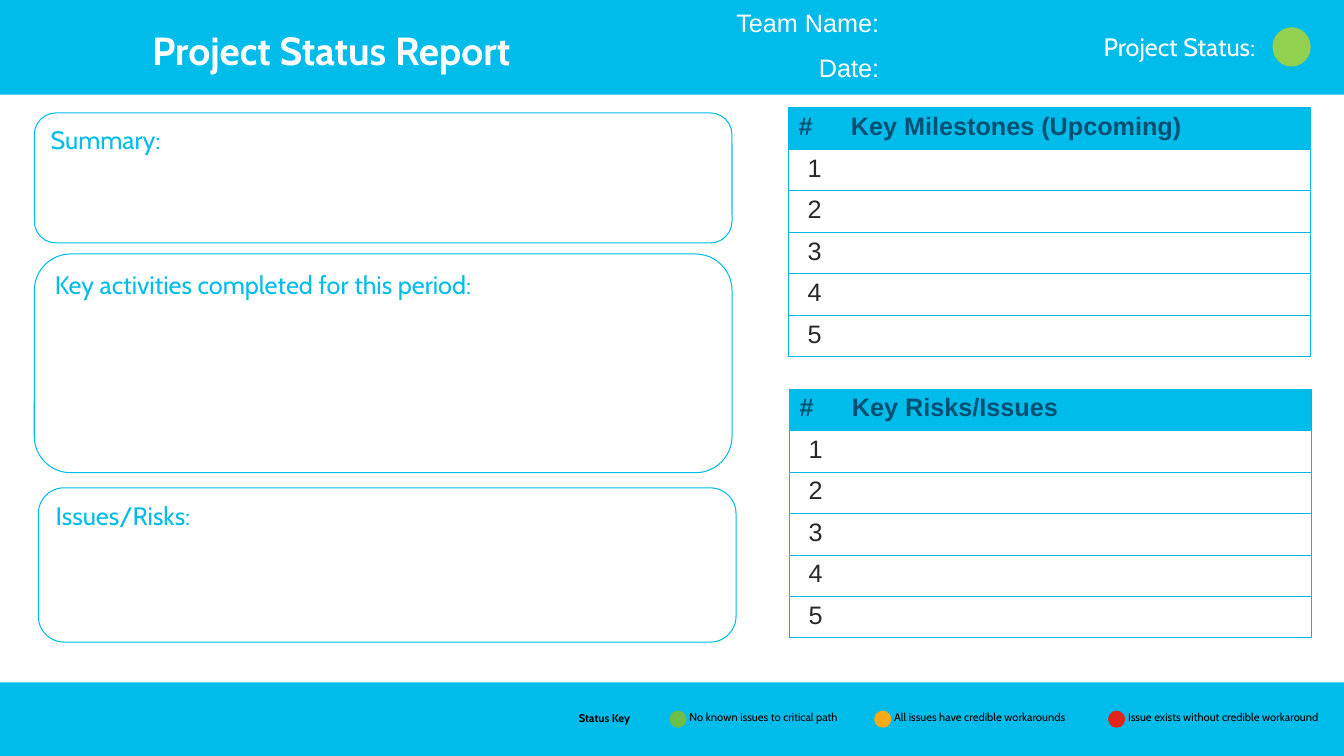
"""Build the project status report slide."""
from lxml import etree
from pptx import Presentation
from pptx.dml.color import RGBColor
from pptx.enum.shapes import MSO_SHAPE
from pptx.enum.text import MSO_ANCHOR, MSO_AUTO_SIZE, PP_ALIGN
from pptx.oxml.ns import qn
from pptx.util import Inches, Pt

RECTANGLE = MSO_SHAPE.RECTANGLE
ROUNDED = MSO_SHAPE.ROUNDED_RECTANGLE
OVAL = MSO_SHAPE.OVAL
LEFT, CENTER, RIGHT = PP_ALIGN.LEFT, PP_ALIGN.CENTER, PP_ALIGN.RIGHT
TOP = MSO_ANCHOR.TOP
NO_AUTOFIT = MSO_AUTO_SIZE.NONE

CYAN = RGBColor(0x00, 0xBC, 0xEB)
BORDER = RGBColor(0x00, 0xB8, 0xE6)
NAVY = RGBColor(0x00, 0x50, 0x73)
CHARCOAL = RGBColor(0x28, 0x28, 0x28)
WHITE = RGBColor(0xFF, 0xFF, 0xFF)
BLACK = RGBColor(0x00, 0x00, 0x00)
STATUS_GREEN = RGBColor(0x92, 0xD0, 0x50)
KEY_GREEN = RGBColor(0x6E, 0xBE, 0x4A)
KEY_AMBER = RGBColor(0xFB, 0xAB, 0x18)
KEY_RED = RGBColor(0xE3, 0x24, 0x1B)

BORDER_WIDTH = Pt(0.75)
ROW_HEIGHT = 2.47 / 6


def write_text(frame, text, font="Cabin", size=18, color=CYAN, bold=False,
               align=LEFT, spacing=None):
    """Write one formatted paragraph into a text frame."""
    paragraph = frame.paragraphs[0]
    paragraph.alignment = align
    paragraph.line_spacing = spacing
    run = paragraph.add_run()
    run.text = text
    run.font.name = font
    run.font.size = Pt(size)
    run.font.bold = bold
    run.font.color.rgb = color


def add_shape(slide, kind, left, top, width, height, fill=None, line=None):
    """Add a flat preset shape with an optional fill and outline."""
    shape = slide.shapes.add_shape(
        kind, Inches(left), Inches(top), Inches(width), Inches(height))
    shape.shadow.inherit = False
    if fill is None:
        shape.fill.background()
    else:
        shape.fill.solid()
        shape.fill.fore_color.rgb = fill
    if line is None:
        shape.line.fill.background()
    else:
        shape.line.color.rgb = line
        shape.line.width = BORDER_WIDTH
    return shape


def add_panel(slide, heading, left, top, height):
    """Add a rounded outline panel with its heading at the top."""
    panel = add_shape(slide, ROUNDED, left, top, 6.92, height, line=CYAN)
    panel.text_frame.vertical_anchor = TOP
    write_text(panel.text_frame, heading)


def add_label(slide, text, left, top, width, height, wrap=False, margin=None,
              **text_format):
    """Add a text box, optionally with equal margins on all sides."""
    box = slide.shapes.add_textbox(
        Inches(left), Inches(top), Inches(width), Inches(height))
    frame = box.text_frame
    frame.word_wrap = wrap
    if margin is not None:
        frame.margin_left = frame.margin_right = Inches(margin)
        frame.margin_top = frame.margin_bottom = Inches(margin)
    write_text(frame, text, **text_format)


def set_borders(cell, visible=""):
    """Draw the cell sides named by letters in visible and hide the rest."""
    properties = cell._tc.get_or_add_tcPr()
    for index, side in enumerate("LRTB"):
        line = etree.Element(qn("a:ln" + side), w=str(BORDER_WIDTH))
        if side in visible:
            fill = etree.SubElement(line, qn("a:solidFill"))
            etree.SubElement(fill, qn("a:srgbClr"), val=str(BORDER))
        else:
            etree.SubElement(line, qn("a:noFill"))
        properties.insert(index, line)


def add_plain_table(slide, left, top, columns, rows):
    """Add a table without banding or cell fills, and return it."""
    table = slide.shapes.add_table(
        len(rows), len(columns), Inches(left), Inches(top),
        Inches(sum(columns)), Inches(sum(rows))).table
    table.first_row = table.horz_banding = False
    for column, width in zip(table.columns, columns):
        column.width = Inches(width)
    for row, height in zip(table.rows, rows):
        row.height = Inches(height)
    for cell in table.iter_cells():
        cell.fill.background()
    return table


def add_numbered_table(slide, heading, left, top):
    """Add a table with a heading row and five numbered empty rows."""
    table = add_plain_table(slide, left, top, [0.52, 4.66], [ROW_HEIGHT] * 6)
    for column, text in enumerate(["#", heading]):
        cell = table.cell(0, column)
        cell.fill.solid()
        cell.fill.fore_color.rgb = CYAN
        write_text(cell.text_frame, text, font="Arial", color=NAVY, bold=True)
    for number in range(1, 6):
        write_text(table.cell(number, 0).text_frame, str(number),
                   font="Arial", color=CHARCOAL, align=CENTER)
    for row in range(6):
        set_borders(table.cell(row, 0), "LTB")
        set_borders(table.cell(row, 1), "RTB")


def add_team_table(slide):
    """Add the borderless team name and date fields."""
    table = add_plain_table(slide, 6.95, 0.05, [1.87, 1.89], [0.44, 0.41])
    for row, text in enumerate(["Team Name:", "Date:"]):
        write_text(table.cell(row, 0).text_frame, text, font="Arial",
                   color=WHITE, align=RIGHT)
    for cell in table.iter_cells():
        set_borders(cell)


def add_status_key(slide):
    """Add the legend of status colours in the footer."""
    add_label(slide, "Status Key", 5.74, 7.08, 0.85, 0.11, wrap=True,
              margin=0, size=8, color=BLACK, bold=True, spacing=0.8)
    for text, color, left, width in [
            ("No known issues to critical path", KEY_GREEN, 6.64, 1.8),
            ("All issues have credible workarounds", KEY_AMBER, 8.67, 2.06),
            ("Issue exists without credible workaround", KEY_RED, 10.99, 2.24)]:
        add_shape(slide, OVAL, left, 7.05, 0.17, 0.17, fill=color)
        add_label(slide, text, left + 0.1, 7, width, 0.24, size=8, color=BLACK)


def place_title(slide, text):
    """Move the title placeholder onto the header band and fill it."""
    title = slide.shapes.title
    title.left, title.top = Inches(1.41), Inches(0.21)
    title.width, title.height = Inches(3.97), Inches(0.57)
    frame = title.text_frame
    frame.word_wrap = False
    frame.auto_size = NO_AUTOFIT
    frame.vertical_anchor = TOP
    write_text(frame, text, size=28, color=WHITE, bold=True)
    title.element.getparent().append(title.element)


def main():
    """Build and save the slide."""
    presentation = Presentation()
    presentation.slide_width = Inches(13.33)
    presentation.slide_height = Inches(7.5)
    slide = presentation.slides.add_slide(presentation.slide_layouts[5])

    add_shape(slide, RECTANGLE, 0, 0, 13.33, 0.94, fill=CYAN)
    add_shape(slide, RECTANGLE, 0, 6.77, 13.33, 0.73, fill=CYAN)
    place_title(slide, "Project Status Report")
    add_team_table(slide)
    add_label(slide, "Project Status:", 10.71, 0.26, 1.84, 0.4,
              color=WHITE, align=RIGHT)
    add_shape(slide, OVAL, 12.62, 0.27, 0.38, 0.39, fill=STATUS_GREEN)

    add_panel(slide, "Summary:", 0.34, 1.12, 1.29)
    add_panel(slide, "Key activities completed for this period:",
              0.34, 2.52, 2.17)
    add_panel(slide, "Issues/Risks:", 0.38, 4.84, 1.53)
    add_numbered_table(slide, "Key Milestones (Upcoming)", 7.82, 1.07)
    add_numbered_table(slide, "Key Risks/Issues", 7.83, 3.86)
    add_status_key(slide)
    presentation.save("out.pptx")


if __name__ == "__main__":
    main()
